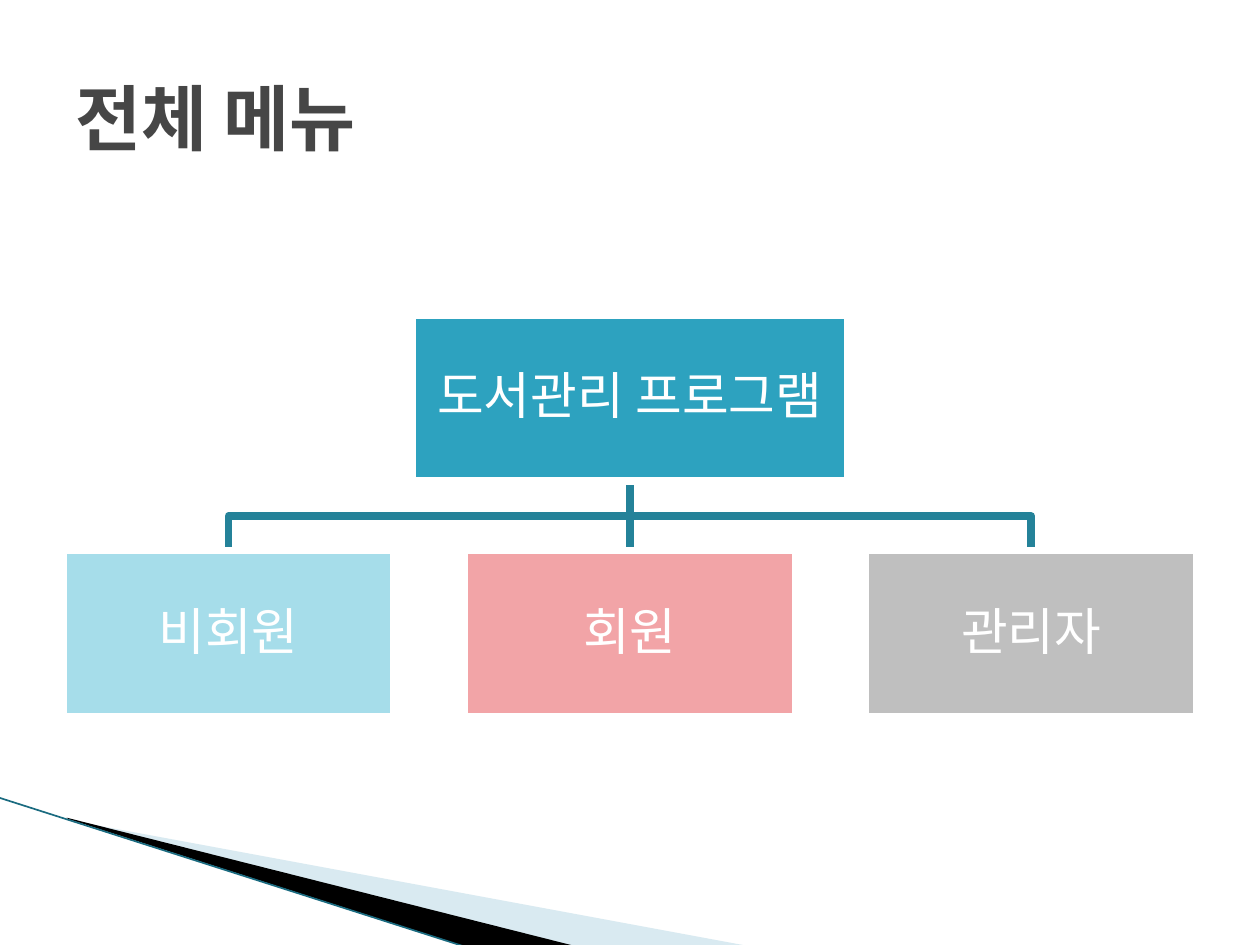
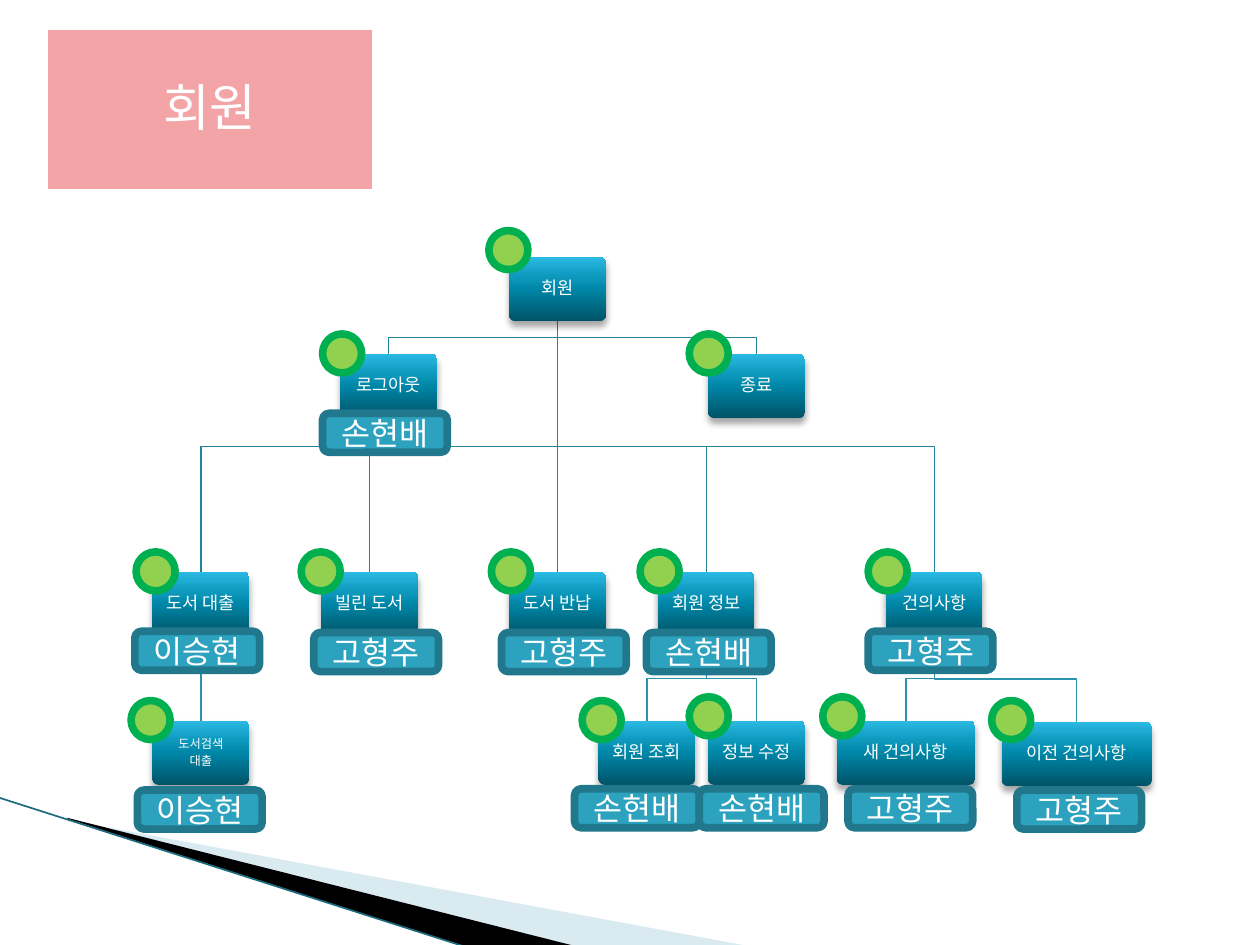
from dataclasses import dataclass

from pptx import Presentation
from pptx.dml.color import RGBColor
from pptx.enum.shapes import MSO_CONNECTOR, MSO_SHAPE
from pptx.enum.text import MSO_ANCHOR, PP_ALIGN
from pptx.oxml import parse_xml
from pptx.oxml.ns import nsdecls, qn
from pptx.util import Inches, Pt

FONT = "Noto Sans Mono"
WHITE = "FFFFFF"
TEAL = "2DA2BF"
PINK = "F2A4A7"
TITLE_COLOR = "464646"
MAIN_LINK, SUB_LINK = "248299", "2993AD"
THICK = 4.33

CARD_W, CARD_H = 2.63, 1.32
NODE_H = 0.51
DOT = 0.31
BADGE_W, BADGE_H = 0.99, 0.31

WEDGES = [
    ([(0.55, 6.51), (5.95, 7.51), (4.56, 7.51), (0.55, 6.5)], "A0CBDC", 40),
    ([(0.53, 6.49), (4.57, 7.51), (3.72, 7.52), (0.54, 6.5)], "000000", 100),
]
EDGE_LINE = ((-0.01, 6.33), (3.71, 7.52), "1A6B80")

MENU_TITLE = "전체 메뉴"
MENU_ROOT = ("도서관리 프로그램", 3.27, 2.5, 3.46)
MENU_CARDS = [("비회원", "A6DDEA"), ("회원", PINK), ("관리자", "BFBFBF")]
CARDS_LEFT, CARDS_TOP, CARD_STEP = 0.5, 4.37, 3.185

MEMBER_CARD = ("회원", 0.35, 0.21)
NODE_GRADIENT = [(0, "005367"), (50, "0086A7"), (70, "0E9ABE"), (100, "2CB9E3")]


@dataclass
class Node:
    name: str
    parent: str
    left: float
    top: float
    dot: tuple
    owner: str = ""
    badge: tuple = ()
    width: float = 0.77
    size: int = 10

    @property
    def center(self):
        return self.left + self.width / 2

    @property
    def bottom(self):
        return self.top + NODE_H


NODES = [
    Node("회원", "", 4.04, 2.04, (3.88, 1.83)),
    Node("로그아웃", "회원", 2.7, 2.81, (2.56, 2.65), "손현배", (2.56, 3.28)),
    Node("종료", "회원", 5.62, 2.81, (5.47, 2.65)),
    Node("도서 대출", "회원", 1.21, 4.54, (1.08, 4.38), "이승현", (1.07, 5.01)),
    Node("빌린 도서", "회원", 2.55, 4.54, (2.39, 4.38), "고형주", (2.49, 5.02)),
    Node("도서 반납", "회원", 4.04, 4.54, (3.9, 4.38), "고형주", (3.98, 5.02)),
    Node("회원 정보", "회원", 5.22, 4.54, (5.08, 4.38), "손현배", (5.13, 5.02)),
    Node("건의사항", "회원", 7.03, 4.54, (6.89, 4.38), "고형주", (6.89, 5.01)),
    Node("도서검색\n대출", "도서 대출", 1.21, 5.72, (1.04, 5.56), "이승현", (1.09, 6.27), size=7),
    Node("회원 조회", "회원 정보", 4.75, 5.72, (4.62, 5.56), "손현배", (4.56, 6.26)),
    Node("정보 수정", "회원 정보", 5.62, 5.72, (5.47, 5.53), "손현배", (5.55, 6.26)),
    Node("새 건의사항", "건의사항", 6.64, 5.72, (6.53, 5.53), "고형주", (6.73, 6.26), 1.1),
    Node("이전 건의사항", "건의사항", 7.95, 5.73, (7.87, 5.56), "고형주", (8.07, 6.27), 1.19),
]


def rgb(color):
    return RGBColor.from_string(color)


def set_line(shape, color, width):
    shape.line.color.rgb = rgb(color)
    shape.line.width = Pt(width)


def style_font(para, size, color):
    para.font.name = FONT
    para.font.size = Pt(size)
    para.font.color.rgb = rgb(color)


def add_box(page, kind, left, top, width, height, fill=None, line=None):
    box = page.shapes.add_shape(kind, Inches(left), Inches(top), Inches(width), Inches(height))
    box.shadow.inherit = False
    if fill:
        box.fill.solid()
        box.fill.fore_color.rgb = rgb(fill)
    if line:
        set_line(box, line, THICK)
    else:
        box.line.fill.background()
    return box


def write_text(box, text, size, inset=None, spaced=True):
    frame = box.text_frame
    frame.word_wrap = True
    frame.vertical_anchor = MSO_ANCHOR.MIDDLE
    if inset is not None:
        frame.margin_left = frame.margin_right = Inches(inset)
        frame.margin_top = frame.margin_bottom = Inches(inset)
    frame.text = text
    for para in frame.paragraphs:
        para.alignment = PP_ALIGN.CENTER
        style_font(para, size, WHITE)
        if spaced:
            para.line_spacing = 0.9
            para.space_after = Pt(size * 0.35)


def add_line(page, start, end, color, width):
    ends = [Inches(value) for value in (*start, *end)]
    line = page.shapes.add_connector(MSO_CONNECTOR.STRAIGHT, *ends)
    set_line(line, color, width)
    line._element.spPr.append(parse_xml(f"<a:effectLst {nsdecls('a')}/>"))


def add_outline(page, points, close):
    corners = [(Inches(x), Inches(y)) for x, y in points]
    builder = page.shapes.build_freeform(*corners[0])
    builder.add_line_segments(corners[1:], close=close)
    outline = builder.convert_to_shape()
    outline.shadow.inherit = False
    return outline


def add_link(page, start, end, color, width):
    if abs(start[0] - end[0]) < 0.01:
        add_line(page, start, end, color, width)
        return
    middle = (start[1] + end[1]) / 2
    link = add_outline(page, [start, (start[0], middle), (end[0], middle), end], False)
    link.fill.background()
    set_line(link, color, width)


def add_card(page, text, left, top, fill, width=CARD_W):
    card = add_box(page, MSO_SHAPE.RECTANGLE, left, top, width, CARD_H, fill, WHITE)
    write_text(card, text, 29, 0.02)


def add_page(deck, layout):
    page = deck.slides.add_slide(deck.slide_layouts[layout])
    for points, color, opacity in WEDGES:
        wedge = add_outline(page, points, True)
        wedge.fill.solid()
        wedge.fill.fore_color.rgb = rgb(color)
        wedge.line.fill.background()
        if opacity < 100:
            tint = wedge._element.spPr.find(qn("a:solidFill"))[0]
            tint.append(parse_xml(f'<a:alpha {nsdecls("a")} val="{opacity * 1000}"/>'))
    add_line(page, *EDGE_LINE, 0.95)
    return page


def add_node(page, node):
    box = add_box(page, MSO_SHAPE.ROUNDED_RECTANGLE, node.left, node.top, node.width, NODE_H)
    box.adjustments[0] = 0.1
    stops = "".join(
        f'<a:gs pos="{place * 1000}"><a:srgbClr val="{color}"/></a:gs>'
        for place, color in NODE_GRADIENT
    )
    properties = box._element.spPr
    properties.find(qn("a:prstGeom")).addnext(parse_xml(
        f'<a:gradFill {nsdecls("a")} rotWithShape="1"><a:gsLst>{stops}</a:gsLst>'
        '<a:lin ang="16200000" scaled="0"/></a:gradFill>'
    ))
    properties.find(qn("a:effectLst")).append(parse_xml(
        f'<a:outerShdw {nsdecls("a")} blurRad="{Pt(4)}" dist="{Pt(3)}" dir="5400000" '
        'rotWithShape="0"><a:srgbClr val="000000"><a:alpha val="35000"/></a:srgbClr>'
        '</a:outerShdw>'
    ))
    write_text(box, node.name, node.size, 0.04)


def build_menu(deck):
    page = add_page(deck, 5)
    title = page.shapes.title
    title.left, title.top = Inches(0.5), Inches(0.3)
    title.width, title.height = Inches(9), Inches(1.25)
    title.text_frame.text = MENU_TITLE
    title.text_frame.vertical_anchor = MSO_ANCHOR.MIDDLE
    para = title.text_frame.paragraphs[0]
    para.alignment = PP_ALIGN.LEFT
    style_font(para, 41, TITLE_COLOR)
    para.font.bold = True

    name, left, top, width = MENU_ROOT
    lefts = [CARDS_LEFT + CARD_STEP * index for index in range(len(MENU_CARDS))]
    start = (left + width / 2, top + CARD_H)
    for card_left in lefts:
        add_link(page, start, (card_left + CARD_W / 2, CARDS_TOP), MAIN_LINK, THICK)
    add_card(page, name, left, top, TEAL, width)
    for card_left, (text, fill) in zip(lefts, MENU_CARDS):
        add_card(page, text, card_left, CARDS_TOP, fill)


def build_member_tree(deck):
    page = add_page(deck, 6)
    by_name = {node.name: node for node in NODES}
    for node in NODES:
        if node.parent:
            parent = by_name[node.parent]
            color = SUB_LINK if parent.parent else MAIN_LINK
            add_link(page, (parent.center, parent.bottom), (node.center, node.top), color, 0.75)
    for node in NODES:
        add_node(page, node)
    add_card(page, *MEMBER_CARD, PINK)
    for node in NODES:
        if node.owner:
            badge = add_box(page, MSO_SHAPE.ROUNDED_RECTANGLE, *node.badge,
                            BADGE_W, BADGE_H, TEAL, "21788D")
            write_text(badge, node.owner, 18, spaced=False)
    for node in NODES:
        add_box(page, MSO_SHAPE.OVAL, *node.dot, DOT, DOT, "92D050", "00B050")


def main():
    deck = Presentation()
    deck.slide_width, deck.slide_height = Inches(10), Inches(7.5)
    build_menu(deck)
    build_member_tree(deck)
    deck.save("out.pptx")


if __name__ == "__main__":
    main()
